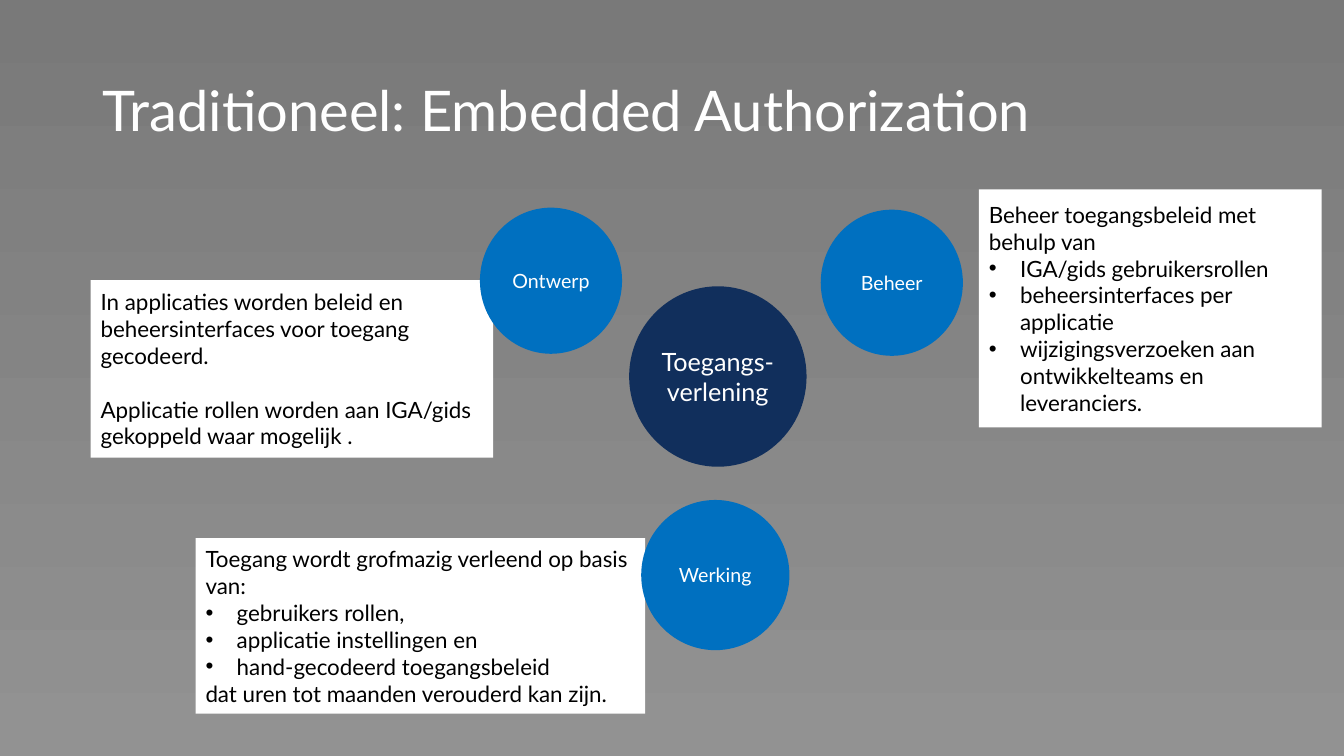
from dataclasses import dataclass

from lxml import etree
from pptx import Presentation
from pptx.dml.color import RGBColor
from pptx.enum import shapes, text
from pptx.oxml import ns
from pptx.util import Inches, Pt


@dataclass(frozen=True)
class Theme:
    """Hold the colours, font and type sizes."""
    font: str = "Lato"
    top: str = "797979"
    base: str = "929292"
    white: str = "FFFFFF"
    black: str = "000000"
    blue: str = "0070C0"
    navy: str = "112F5C"
    title: int = 40
    core: int = 18
    body: int = 16
    small: int = 14


THEME = Theme()

NOTES = [
    ((0.9, 2.78, 3.99, 1.76), [
        ("In applicaties worden beleid en beheersinterfaces voor toegang gecodeerd.", False),
        ("Applicatie rollen worden aan IGA/gids gekoppeld waar mogelijk .", False)], 19.2),
    ((9.71, 1.88, 3.4, 2.36), [
        ("Beheer toegangsbeleid met behulp van", False),
        ("IGA/gids gebruikersrollen", True),
        ("beheersinterfaces per applicatie", True),
        ("wijzigingsverzoeken aan ontwikkelteams en leveranciers.", True)], 0),
    ((1.94, 5.34, 4.46, 1.74), [
        ("Toegang wordt grofmazig verleend op basis van:", False),
        ("gebruikers rollen,", True),
        ("applicatie instellingen en", True),
        ("hand-gecodeerd toegangsbeleid", True),
        ("dat uren tot maanden verouderd kan zijn.", False)], 0),
]

DISCS = [
    ((4.76, 2.06, 1.41, 1.45), "Ontwerp", THEME.blue, THEME.small),
    ((8.14, 2.08, 1.41, 1.45), "Beheer", THEME.blue, THEME.small),
    ((6.36, 4.96, 1.47, 1.49), "Werking", THEME.blue, THEME.small),
    ((6.24, 2.84, 1.76, 1.79), "Toegangs-verlening", THEME.navy, THEME.core),
]


def style(para, size, color, align=text.PP_ALIGN.LEFT):
    """Format a paragraph and its runs."""
    para.alignment = align
    for run in para.runs:
        run.font.name = THEME.font
        run.font.size = Pt(size)
        run.font.color.rgb = RGBColor.from_string(color)


def bullet(para):
    """Give a paragraph a hanging round bullet."""
    props = para._p.get_or_add_pPr()
    props.set("marL", str(Inches(0.31)))
    props.set("indent", str(-Inches(0.31)))
    etree.SubElement(props, ns.qn("a:buFont")).set("typeface", "Arial")
    etree.SubElement(props, ns.qn("a:buChar")).set("char", "•")


def add_shape(slide, kind, box, color):
    """Add a plain filled shape with middle-anchored text."""
    shape = slide.shapes.add_shape(kind, *map(Inches, box))
    shape.shadow.inherit = False
    shape.fill.solid()
    shape.fill.fore_color.rgb = RGBColor.from_string(color)
    shape.line.fill.background()
    shape.text_frame.word_wrap = True
    shape.text_frame.vertical_anchor = text.MSO_ANCHOR.MIDDLE
    return shape


def add_note(slide, box, lines, gap):
    """Add a white box of plain and bulleted lines."""
    frame = add_shape(slide, shapes.MSO_SHAPE.RECTANGLE, box, THEME.white).text_frame
    frame.text = "\n".join(line for line, _ in lines)
    for index, (para, (_, listed)) in enumerate(zip(frame.paragraphs, lines)):
        if listed:
            bullet(para)
        if index and gap:
            para.space_before = Pt(gap)
        style(para, THEME.body, THEME.black)


def add_disc(slide, box, label, color, size):
    """Add a labelled circle."""
    frame = add_shape(slide, shapes.MSO_SHAPE.OVAL, box, color).text_frame
    frame.margin_left = frame.margin_right = 0
    frame.margin_top = frame.margin_bottom = 0
    frame.text = label
    style(frame.paragraphs[0], size, THEME.white, text.PP_ALIGN.CENTER)


def set_title(slide, label):
    """Place and format the slide title."""
    title = slide.shapes.title
    title.left, title.top, title.width, title.height = map(Inches, (0.92, 0.4, 11.5, 1.45))
    frame = title.text_frame
    frame.text = label
    frame.vertical_anchor = text.MSO_ANCHOR.MIDDLE
    frame.paragraphs[0].line_spacing = 0.9
    style(frame.paragraphs[0], THEME.title, THEME.white)


def set_back(slide):
    """Fill the background with a vertical gradient."""
    fill = slide.background.fill
    fill.gradient()
    fill.gradient_angle = 270
    for stop, color in zip(fill.gradient_stops, (THEME.top, THEME.base)):
        stop.color.rgb = RGBColor.from_string(color)


def main():
    """Build and save the slide."""
    deck = Presentation()
    deck.slide_width, deck.slide_height = Inches(13.33), Inches(7.5)
    slide = deck.slides.add_slide(deck.slide_layouts[5])
    set_back(slide)
    set_title(slide, "Traditioneel: Embedded Authorization")
    for note in NOTES:
        add_note(slide, *note)
    for disc in DISCS:
        add_disc(slide, *disc)
    deck.save("out.pptx")


if __name__ == "__main__":
    main()
